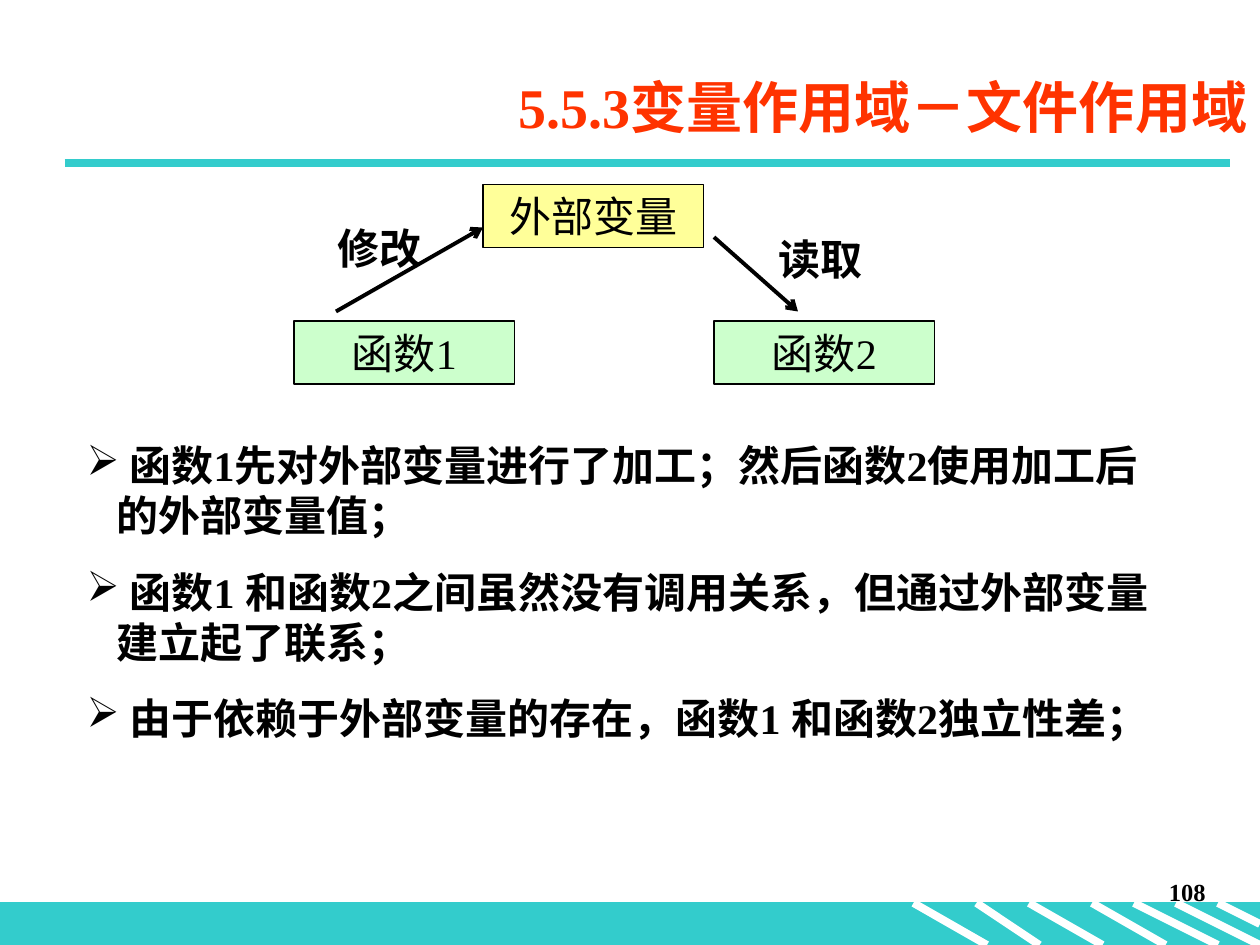
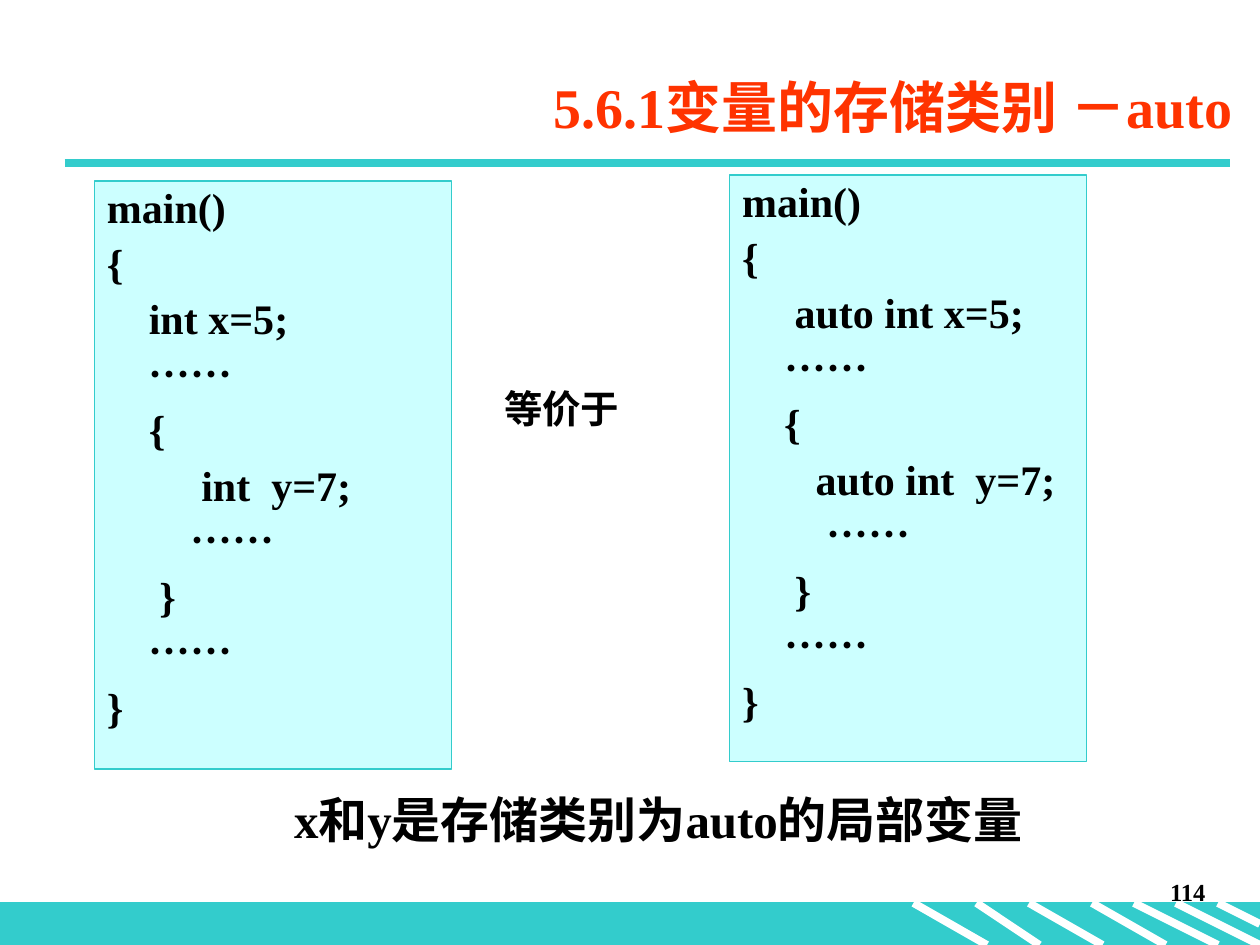
from lxml import etree
from pptx import Presentation
from pptx.dml.color import RGBColor
from pptx.enum import shapes, text
from pptx.oxml import ns
from pptx.util import Pt

LATIN, CJK = "Times New Roman", "Noto Sans CJK SC"
BLACK, WHITE, TEAL, RED = "000000", "FFFFFF", "33CCCC", "FF3300"
GREEN, YELLOW, PALE = "CCFFCC", "FFFF99", "CCFFFF"
LEFT, CENTER, RIGHT = text.PP_ALIGN.LEFT, text.PP_ALIGN.CENTER, text.PP_ALIGN.RIGHT
TOP, MIDDLE = text.MSO_ANCHOR.TOP, text.MSO_ANCHOR.MIDDLE
DOTS = "……"
LINE_RATIO = 1.19
BAND_TOP, BAND_HEIGHT = 516, 24
# start x, end x, end y of each white stripe on the footer band
STRIPES = [(522, 564, 540), (558, 594, 540), (588, 630, 540), (624, 666, 540),
           (648, 696, 540), (672, 720, 540), (696, 720, 528)]


def rgb(color):
    return RGBColor.from_string(color)


def child(parent, tag, **attrs):
    return etree.SubElement(parent, ns.qn(tag), **attrs)


class Deck:
    """Holds the presentation, its style and the slide being filled."""

    def __init__(self):
        self.prs = Presentation()
        self.prs.slide_width, self.prs.slide_height = Pt(720), Pt(540)

    def slide(self, title, title_left, number):
        self.s = self.prs.slides.add_slide(self.prs.slide_layouts[6])
        self.box((0, BAND_TOP, 720, BAND_HEIGHT), TEAL, TEAL)
        for x1, x2, y2 in STRIPES:
            self.line(x1, BAND_TOP, x2, y2, WHITE, 4.5)
        self.line(37, 93, 703, 93, TEAL, 4.5)
        self.label((546, 498, 150, 36), number, 14, align=RIGHT)
        self.label((title_left, 32, 612, 57), title, 32, RED, RIGHT, MIDDLE)

    def line(self, x1, y1, x2, y2, color, width, arrow=False):
        c = self.s.shapes.add_connector(shapes.MSO_CONNECTOR.STRAIGHT,
                                        Pt(x1), Pt(y1), Pt(x2), Pt(y2))
        c.line.color.rgb, c.line.width = rgb(color), Pt(width)
        spPr = c._element.spPr
        if arrow:
            child(spPr.find(ns.qn("a:ln")), "a:tailEnd", type="arrow")
        child(spPr, "a:effectLst")

    def box(self, at, fill, line):
        sp = self.s.shapes.add_shape(shapes.MSO_SHAPE.RECTANGLE, *map(Pt, at))
        sp.shadow.inherit = False
        sp.fill.solid()
        sp.fill.fore_color.rgb = rgb(fill)
        sp.line.color.rgb, sp.line.width = rgb(line), Pt(0.75)
        return sp

    def label(self, at, content, size, color=BLACK, align=LEFT, anchor=TOP, **style):
        sp = self.s.shapes.add_textbox(*map(Pt, at))
        self.set_lines(sp, [content], size, color, align, anchor, **style)

    def node(self, at, content, fill):
        sp = self.box(at, fill, BLACK)
        self.set_lines(sp, [content], 24, align=CENTER, anchor=MIDDLE, bold=False)

    def code(self, at, lines):
        self.set_lines(self.box(at, PALE, TEAL), lines, 24, gap=6, spacing=0.9)

    def bullets(self, at, items):
        sp = self.s.shapes.add_textbox(*map(Pt, at))
        self.set_lines(sp, items, 24, gap=15, bullet="➢")

    def set_lines(self, sp, lines, size, color=BLACK, align=LEFT, anchor=TOP,
                  bold=True, gap=0, spacing=1, bullet=None):
        """Put one paragraph per line; the dots get a run in the CJK font."""
        tf = sp.text_frame
        tf.word_wrap, tf.vertical_anchor = True, anchor
        for i, content in enumerate(lines):
            p = tf.add_paragraph() if i else tf.paragraphs[0]
            p.alignment = align
            p.line_spacing = Pt(round(size * LINE_RATIO * spacing, 1))
            p.space_before = Pt(gap if i else 0)
            if bullet:
                pPr = p._p.get_or_add_pPr()
                pPr.set("marL", str(Pt(17)))
                pPr.set("indent", str(Pt(-17)))
                child(pPr, "a:buChar", char=bullet)
            for part in filter(None, content.partition(DOTS)):
                r = p.add_run()
                r.text = part
                f = r.font
                f.size, f.bold, f.color.rgb = Pt(size), bold, rgb(color)
                f.name = CJK if part == DOTS else LATIN
                child(r._r.get_or_add_rPr(), "a:ea", typeface=CJK)


def program(x_declaration, y_declaration):
    return ["main()", "{", x_declaration, "    " + DOTS, "    {", y_declaration,
            "        " + DOTS, "     }", "    " + DOTS, "}"]


def file_scope(deck):
    deck.slide("5.5.3变量作用域－文件作用域", 108, "108")
    deck.node((168, 183.5, 126, 36), "函数1", GREEN)
    deck.node((408, 183.5, 126, 36), "函数2", GREEN)
    deck.node((276, 105.5, 126, 36), "外部变量", YELLOW)
    deck.line(192, 178, 276, 130, BLACK, 2.25, arrow=True)
    deck.line(408, 135.5, 456, 178, BLACK, 2.25, arrow=True)
    deck.label((186, 124, 90, 36), "修改", 24)
    deck.label((438, 130, 90, 36), "读取", 24)
    deck.bullets((42.5, 248, 629, 181), [
        " 函数1先对外部变量进行了加工；然后函数2使用加工后的外部变量值；",
        " 函数1 和函数2之间虽然没有调用关系，但通过外部变量建立起了联系；",
        " 由于依赖于外部变量的存在，函数1 和函数2独立性差；"])


def auto_storage(deck):
    deck.slide("5.6.1变量的存储类别 －auto", 99.5, "114")
    deck.code((54, 103.5, 204, 336), program("    int x=5;", "         int  y=7;"))
    deck.code((417, 100, 204, 335),
              program("     auto int x=5;", "       auto int  y=7;"))
    deck.label((161, 451.5, 476, 37), "x和y是存储类别为auto的局部变量", 28, spacing=0.9)
    deck.label((281, 219, 113, 31), "等价于", 22, spacing=0.9)


def main():
    deck = Deck()
    file_scope(deck)
    auto_storage(deck)
    deck.prs.save("out.pptx")


if __name__ == "__main__":
    main()
